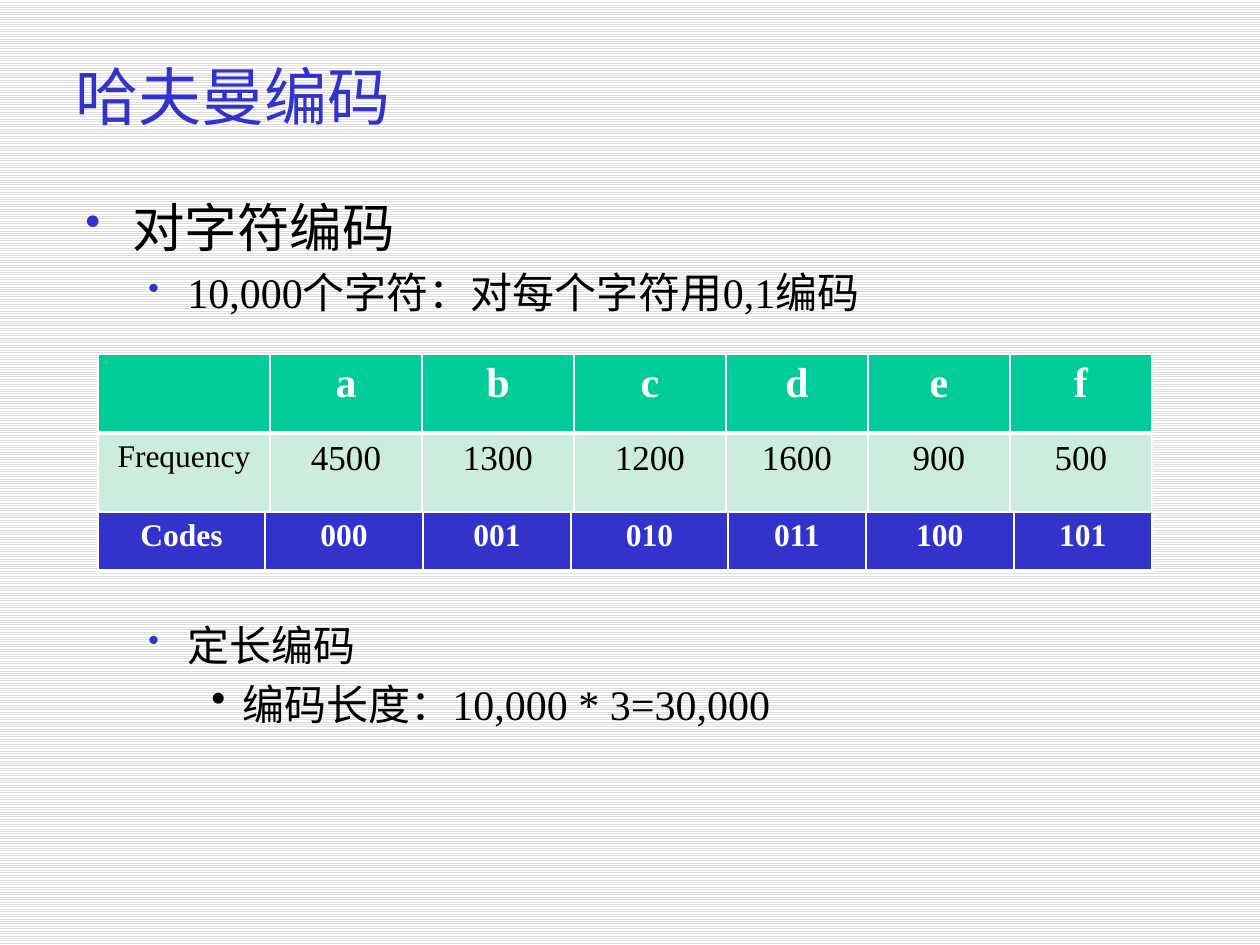
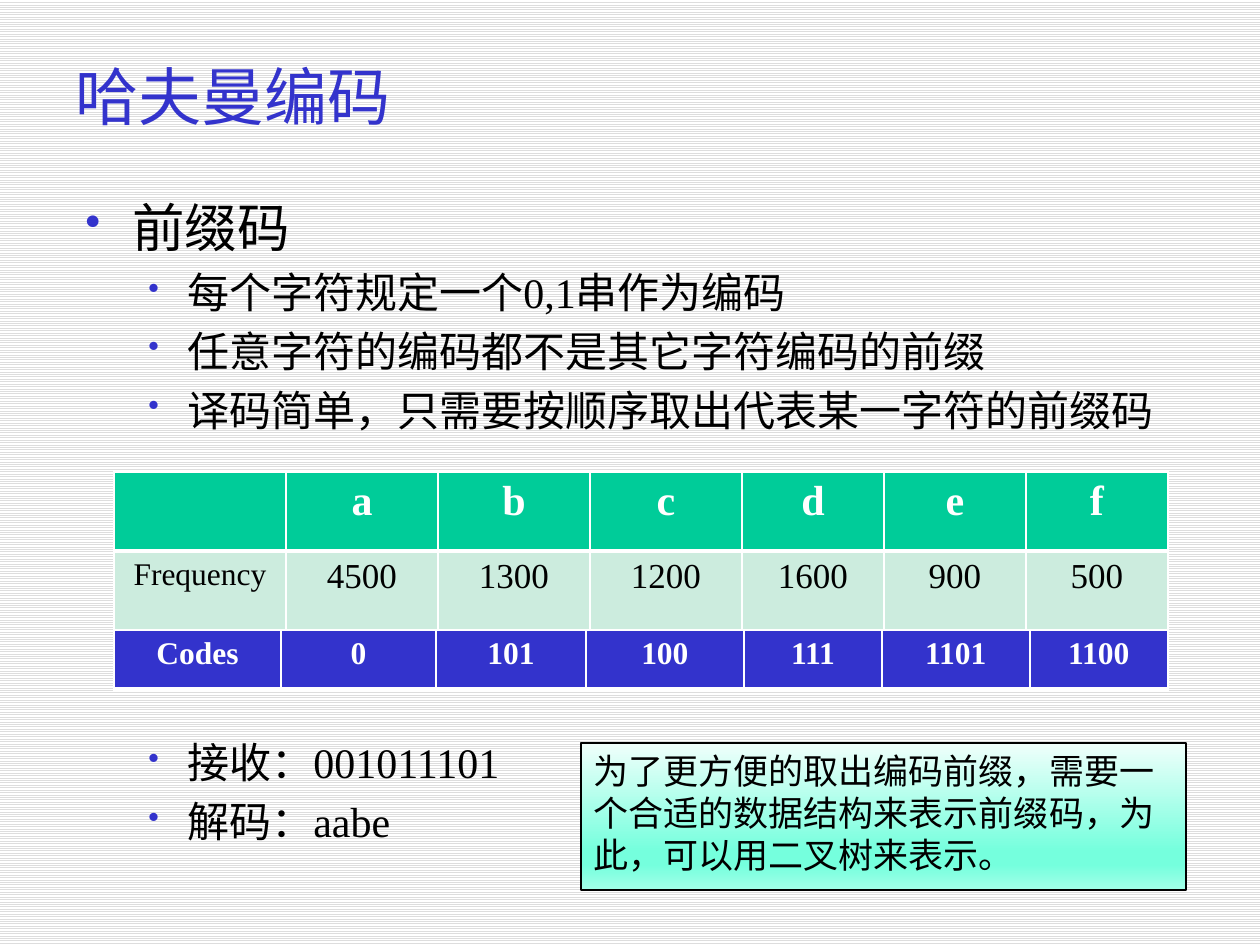
from pptx import Presentation
from pptx.dml.color import RGBColor
from pptx.enum.dml import MSO_PATTERN
from pptx.enum.shapes import MSO_SHAPE
from pptx.enum.text import MSO_ANCHOR, PP_ALIGN
from pptx.oxml import parse_xml
from pptx.oxml.ns import nsdecls, qn
from pptx.util import Pt

PIXEL = 914400 // 126
FONT = "Times New Roman"
BLUE = RGBColor(0x33, 0x33, 0xCC)
GREEN = RGBColor(0x00, 0xCC, 0x99)
PALE_GREEN = RGBColor(0xCC, 0xEC, 0xDE)
STRIPE = RGBColor(0xDD, 0xDD, 0xDD)
WHITE = RGBColor(0xFF, 0xFF, 0xFF)
BLACK = RGBColor(0x00, 0x00, 0x00)
NOTE_STOPS = [
    (0, RGBColor(0xF0, 0xFF, 0xFB)),
    (74, RGBColor(0x75, 0xFF, 0xDD)),
    (83, RGBColor(0x75, 0xFF, 0xDD)),
    (100, RGBColor(0xA3, 0xFF, 0xE8)),
]

TITLE = "哈夫曼编码"
LEVELS = [
    {"size": 30, "margin": 47, "hanging": 47, "bullet": BLUE, "percent": 85},
    {"size": 24, "margin": 102, "hanging": 39, "bullet": BLUE, "percent": 75},
    {"size": 24, "margin": 157, "hanging": 31, "bullet": BLACK, "percent": 100},
]
TABLE_GAP = 168
FREQUENCY_ROWS = [
    ["", "a", "b", "c", "d", "e", "f"],
    ["Frequency", "4500", "1300", "1200", "1600", "900", "500"],
]
FREQUENCY_WIDTHS = [172] + [152] * 3 + [142] * 3
ROW_STYLES = {
    "letters": {"fill": GREEN, "color": WHITE, "bold": True, "sizes": (24, 24), "bottom": 3},
    "frequencies": {"fill": PALE_GREEN, "color": BLACK, "bold": False, "sizes": (18, 20), "bottom": 1},
    "codes": {"fill": BLUE, "color": WHITE, "bold": True, "sizes": (18, 18), "bottom": 3},
}
SLIDES = [
    {
        "body_width": 1071,
        "lines": [
            (0, "对字符编码", 0),
            (1, "10,000个字符:对每个字符用0,1编码".replace(":", "\uff1a"), 0),
            (1, "定长编码", TABLE_GAP),
            (2, "编码长度\uff1a10,000 * 3=30,000", 0),
        ],
        "table_at": (98, 354),
        "codes": ["Codes", "000", "001", "010", "011", "100", "101"],
        "code_widths": [167, 158, 148, 157, 138, 148, 138],
        "note": None,
    },
    {
        "body_width": 1123,
        "lines": [
            (0, "前缀码", 0),
            (1, "每个字符规定一个0,1串作为编码", 0),
            (1, "任意字符的编码都不是其它字符编码的前缀", 0),
            (1, "译码简单\uff0c只需要按顺序取出代表某一字符的前缀码", 0),
            (1, "接收\uff1a001011101", TABLE_GAP),
            (1, "解码\uff1aaabe", 0),
        ],
        "table_at": (114, 472),
        "codes": ["Codes", "0", "101", "100", "111", "1101", "1100"],
        "code_widths": [167, 155, 150, 158, 138, 148, 138],
        "note": "为了更方便的取出编码前缀\uff0c需要一个合适的数据结构来表示前缀码\uff0c为此\uff0c可以用二叉树来表示。",
    },
]


def write(paragraph, text, size, color, bold=False):
    run = paragraph.add_run()
    run.text = text
    for name, value in {"name": FONT, "size": Pt(size), "bold": bold}.items():
        setattr(run.font, name, value)
    run.font.color.rgb = color


def add_grid(slide, left, top, widths, height, rows, styles):
    lengths = [left, top, sum(widths), height * len(rows)]
    table = slide.shapes.add_table(len(rows), len(widths), *[n * PIXEL for n in lengths]).table
    for name in ("first_row", "horz_banding"):
        setattr(table, name, False)
    for column, width in zip(table.columns, widths):
        column.width = width * PIXEL
    for row, texts, style_name in zip(table.rows, rows, styles):
        row.height = height * PIXEL
        style = ROW_STYLES[style_name]
        for index, (cell, text) in enumerate(zip(row.cells, texts)):
            properties = cell._tc.get_or_add_tcPr()
            for side, points in {"L": 1, "R": 1, "T": 1, "B": style["bottom"]}.items():
                properties.append(parse_xml(
                    f'<a:ln{side} {nsdecls("a")} w="{Pt(points)}"><a:solidFill>'
                    f'<a:srgbClr val="{WHITE}"/></a:solidFill></a:ln{side}>'))
            cell.fill.solid()
            cell.fill.fore_color.rgb = style["fill"]
            if text:
                paragraph = cell.text_frame.paragraphs[0]
                paragraph.alignment = PP_ALIGN.CENTER
                write(paragraph, text, style["sizes"][index > 0], style["color"], style["bold"])


presentation = Presentation()
presentation.slide_width = 1260 * PIXEL
presentation.slide_height = 945 * PIXEL

for content in SLIDES:
    slide = presentation.slides.add_slide(presentation.slide_layouts[6])
    background = slide.background.fill
    background.patterned()
    background.pattern = MSO_PATTERN.LIGHT_HORIZONTAL
    background.fore_color.rgb = STRIPE
    background.back_color.rgb = WHITE

    title = slide.shapes.add_textbox(*[n * PIXEL for n in (63, 32, 1071, 126)]).text_frame
    title.word_wrap = True
    title.vertical_anchor = MSO_ANCHOR.MIDDLE
    write(title.paragraphs[0], TITLE, 36, BLUE)

    body = slide.shapes.add_textbox(*[n * PIXEL for n in (73, 189, content["body_width"], 672)]).text_frame
    body.word_wrap = True
    for index, (level_number, text, gap) in enumerate(content["lines"]):
        level = LEVELS[level_number]
        paragraph = body.add_paragraph() if index else body.paragraphs[0]
        paragraph.level = level_number
        paragraph.space_before = Pt(level["size"] * 0.2 + gap)
        properties = paragraph._p.get_or_add_pPr()
        properties.set("marL", str(level["margin"] * PIXEL))
        properties.set("indent", str(-level["hanging"] * PIXEL))
        for bullet in (
            f'<a:buClr {nsdecls("a")}><a:srgbClr val="{level["bullet"]}"/></a:buClr>',
            f'<a:buSzPct {nsdecls("a")} val="{level["percent"] * 1000}"/>',
            f'<a:buChar {nsdecls("a")} char="•"/>',
        ):
            properties.append(parse_xml(bullet))
        write(paragraph, text, level["size"], BLACK)

    left, top = content["table_at"]
    add_grid(slide, left, top, FREQUENCY_WIDTHS, 79, FREQUENCY_ROWS, ["letters", "frequencies"])
    add_grid(slide, left, top + 2 * 79, content["code_widths"], 59, [content["codes"]], ["codes"])

    if content["note"]:
        note = slide.shapes.add_shape(MSO_SHAPE.RECTANGLE, *[n * PIXEL for n in (581, 743, 605, 147)])
        note.shadow.inherit = False
        note.fill.gradient()
        note.fill.gradient_angle = 270
        stops = note._element.spPr.find(qn("a:gradFill")).find(qn("a:gsLst"))
        for stop in list(stops):
            stops.remove(stop)
        for percent, color in NOTE_STOPS:
            stops.append(parse_xml(
                f'<a:gs {nsdecls("a")} pos="{percent * 1000}"><a:srgbClr val="{color}"/></a:gs>'))
        note.line.color.rgb = BLACK
        note.line.width = Pt(0.75)
        frame = note.text_frame
        for name, value in {"word_wrap": True, "vertical_anchor": MSO_ANCHOR.TOP}.items():
            setattr(frame, name, value)
        frame.paragraphs[0].alignment = PP_ALIGN.LEFT
        write(frame.paragraphs[0], content["note"], 20, BLACK)

presentation.save("out.pptx")
